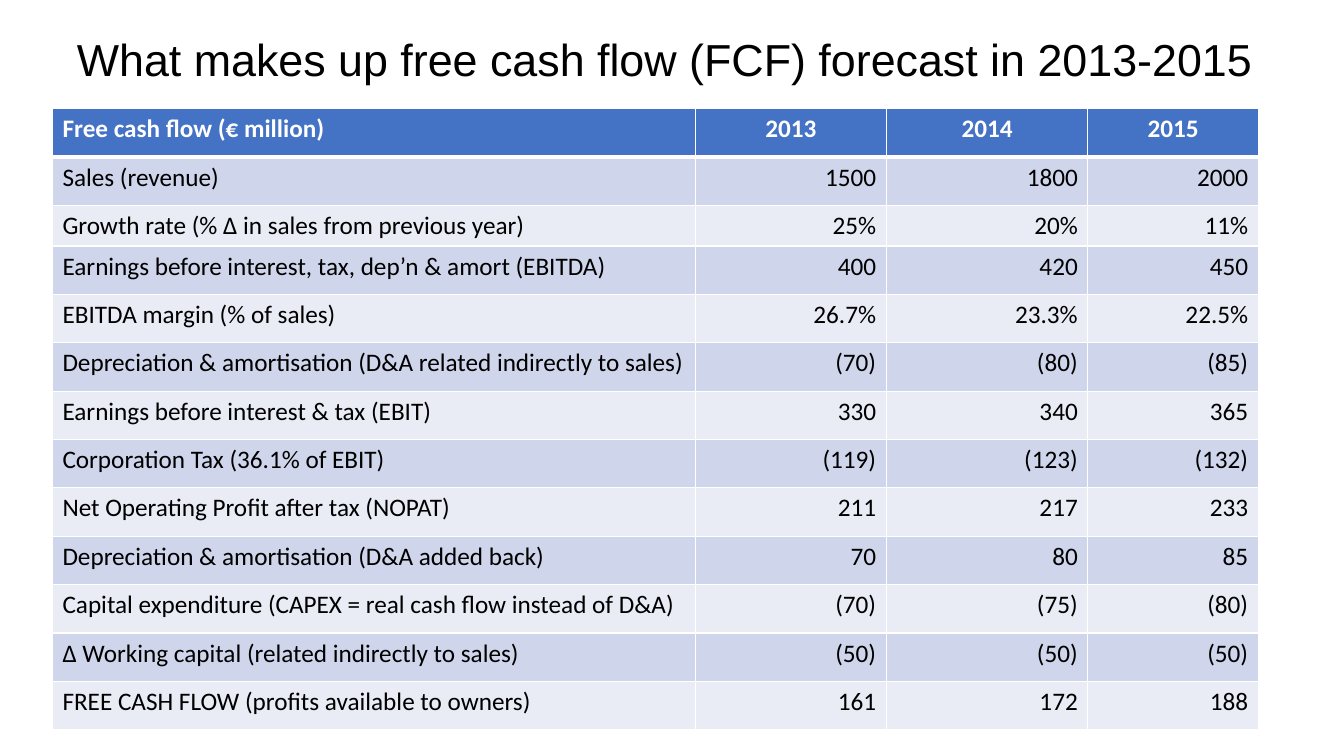
import lxml.etree
import pptx
import pptx.dml.color
import pptx.enum.text
import pptx.oxml.ns
import pptx.util

Inches = pptx.util.Inches
Pt = pptx.util.Pt
RGBColor = pptx.dml.color.RGBColor
Align = pptx.enum.text.PP_ALIGN

BLACK = RGBColor(0x00, 0x00, 0x00)
WHITE = RGBColor(0xFF, 0xFF, 0xFF)
HEADER_BLUE = RGBColor(0x44, 0x72, 0xC4)
BAND_DARK = RGBColor(0xCF, 0xD5, 0xEA)
BAND_LIGHT = RGBColor(0xE9, 0xEB, 0xF5)

COLUMN_WIDTHS = (6.38, 1.89, 2, 1.69)
ROW_HEIGHT = 0.48
GROWTH_ROW, GROWTH_ROW_HEIGHT = 2, 0.2

CASH_FLOW_ROWS = (
    ("Free cash flow (€ million)", "2013", "2014", "2015"),
    ("Sales (revenue)", "1500", "1800", "2000"),
    ("Growth rate (% ∆ in sales from previous year)", "25%", "20%", "11%"),
    ("Earnings before interest, tax, dep’n & amort (EBITDA)", "400", "420", "450"),
    ("EBITDA margin (% of sales)", "26.7%", "23.3%", "22.5%"),
    ("Depreciation & amortisation (D&A related indirectly to sales)", "(70)", "(80)", "(85)"),
    ("Earnings before interest & tax (EBIT)", "330", "340", "365"),
    ("Corporation Tax (36.1% of EBIT)", "(119)", "(123)", "(132)"),
    ("Net Operating Profit after tax (NOPAT)", "211", "217", "233"),
    ("Depreciation & amortisation (D&A added back)", "70", "80", "85"),
    ("Capital expenditure (CAPEX = real cash flow instead of D&A)", "(70)", "(75)", "(80)"),
    ("∆ Working capital (related indirectly to sales)", "(50)", "(50)", "(50)"),
    ("FREE CASH FLOW (profits available to owners)", "161", "172", "188"),
)


def style_paragraph(paragraph, name, size, color, alignment, bold=False):
    paragraph.alignment = alignment
    paragraph.font.name = name
    paragraph.font.size = Pt(size)
    paragraph.font.bold = bold
    paragraph.font.color.rgb = color


def set_borders(cell, row):
    """White rules, with a thick one under the header row."""
    qn = pptx.oxml.ns.qn
    properties = cell._tc.get_or_add_tcPr()
    widths = {"L": 1, "R": 1, "T": 3 if row == 1 else 1, "B": 3 if row == 0 else 1}
    for side, width in widths.items():
        line = lxml.etree.SubElement(properties, qn("a:ln" + side), w=str(Pt(width)))
        fill = lxml.etree.SubElement(line, qn("a:solidFill"))
        lxml.etree.SubElement(fill, qn("a:srgbClr"), val=str(WHITE))


def add_title(slide, left, top, width, height):
    shape = slide.shapes.add_textbox(Inches(left), Inches(top), Inches(width), Inches(height))
    frame = shape.text_frame
    frame.word_wrap = True
    frame.vertical_anchor = pptx.enum.text.MSO_ANCHOR.MIDDLE
    paragraph = frame.paragraphs[0]
    paragraph.text = "What makes up free cash flow (FCF) forecast in 2013-2015"
    paragraph.line_spacing = 0.9
    style_paragraph(paragraph, "Arial", 32, BLACK, Align.CENTER)


def fill_cell(cell, text, row, column):
    header = row == 0
    set_borders(cell, row)
    cell.fill.solid()
    cell.fill.fore_color.rgb = HEADER_BLUE if header else (BAND_LIGHT, BAND_DARK)[row % 2]
    if column == 0:
        alignment = Align.LEFT
    else:
        alignment = Align.CENTER if header else Align.RIGHT
    paragraph = cell.text_frame.paragraphs[0]
    paragraph.text = text
    style_paragraph(paragraph, "Calibri", 18, WHITE if header else BLACK, alignment, header)


def add_cash_flow_table(slide, left, top, width, height):
    table = slide.shapes.add_table(
        len(CASH_FLOW_ROWS), len(COLUMN_WIDTHS),
        Inches(left), Inches(top), Inches(width), Inches(height)).table
    for column, column_width in zip(table.columns, COLUMN_WIDTHS):
        column.width = Inches(column_width)
    for row, texts in enumerate(CASH_FLOW_ROWS):
        table.rows[row].height = Inches(GROWTH_ROW_HEIGHT if row == GROWTH_ROW else ROW_HEIGHT)
        for column, text in enumerate(texts):
            fill_cell(table.cell(row, column), text, row, column)


def main():
    presentation = pptx.Presentation()
    presentation.slide_width = Inches(13.33)
    presentation.slide_height = Inches(7.5)
    slide = presentation.slides.add_slide(presentation.slide_layouts[6])
    add_title(slide, 0, 0.02, 13.2, 1.19)
    add_cash_flow_table(slide, 0.52, 1.08, 11.95, 6.13)
    presentation.save("out.pptx")


if __name__ == "__main__":
    main()
